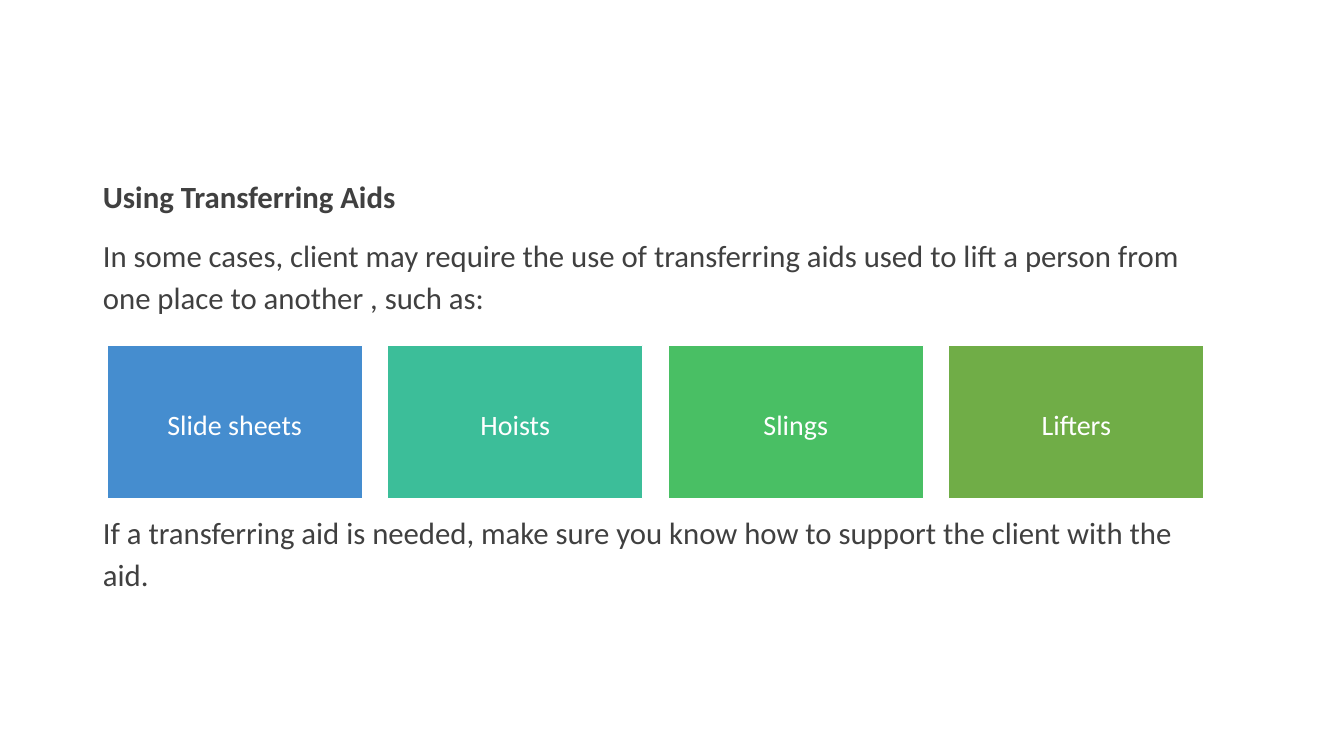
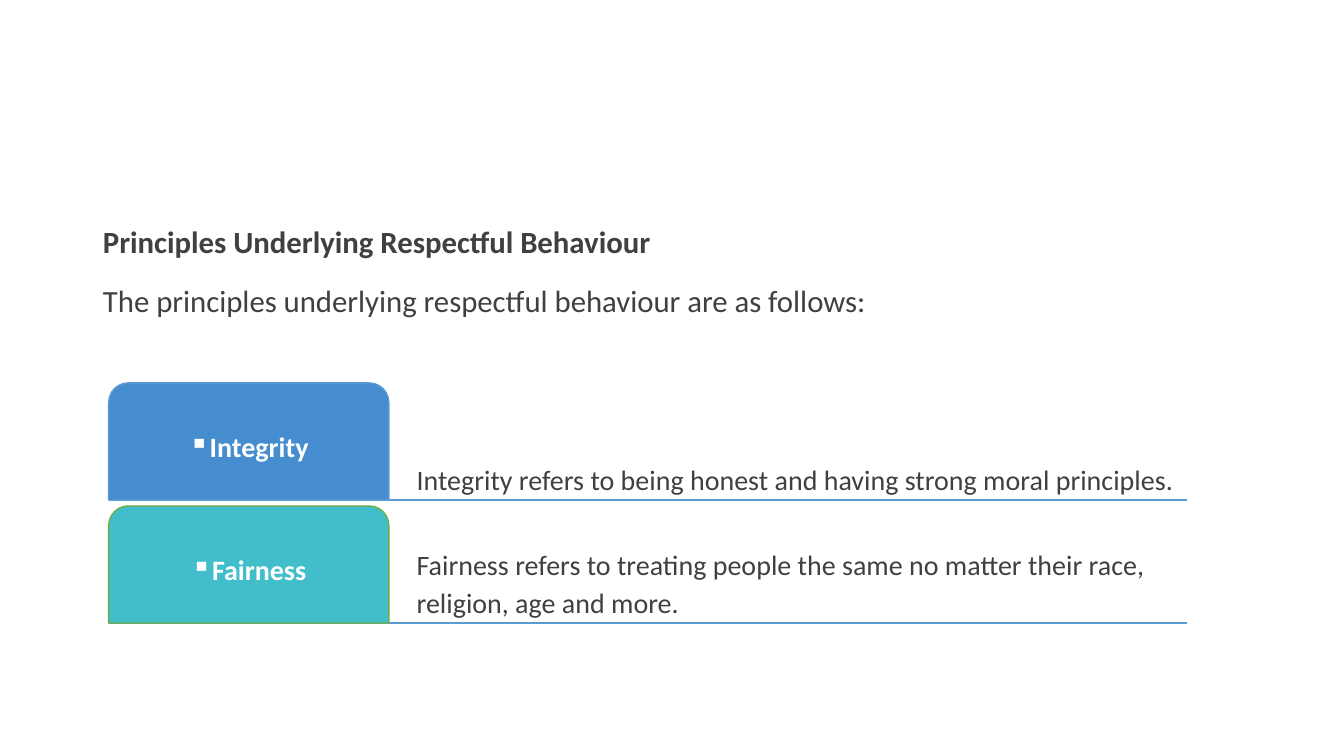
from lxml import etree
from pptx import Presentation
from pptx.dml.color import RGBColor
from pptx.enum.shapes import MSO_CONNECTOR, MSO_SHAPE
from pptx.enum.text import MSO_ANCHOR, MSO_AUTO_SIZE, PP_ALIGN
from pptx.oxml.ns import qn
from pptx.util import Cm, Pt

RECT, TAB = MSO_SHAPE.RECTANGLE, MSO_SHAPE.ROUND_2_SAME_RECTANGLE
STRAIGHT = MSO_CONNECTOR.STRAIGHT
MIDDLE, BOTTOM = MSO_ANCHOR.MIDDLE, MSO_ANCHOR.BOTTOM
LEFT, CENTER = PP_ALIGN.LEFT, PP_ALIGN.CENTER
NO_FIT = MSO_AUTO_SIZE.NONE

FONT = "Calibri"
INK, WHITE, BLUE, RULE = "404040", "FFFFFF", "458DCF", "5B9BD5"
TEAL, GREEN, OLIVE, AQUA = "3CBE99", "49BF64", "70AD47", "42BDCA"


def rgb(hex_color):
    return RGBColor.from_string(hex_color)


class Deck:
    """Holds the shared style and the current slide."""

    def __init__(self):
        self.prs = Presentation()
        self.prs.slide_width, self.prs.slide_height = Cm(33.87), Cm(19.05)
        self.s = None

    def paragraph(self, tf, first, text, size, color, bold=False, align=LEFT,
                  before=0, bullet=None, indent=0):
        p = tf.paragraphs[0] if first else tf.add_paragraph()
        p.alignment, p.line_spacing = align, 1.14
        p.space_before, p.space_after = Pt(before), Pt(6)
        pPr = p._p.get_or_add_pPr()
        pPr.set("marL", str(Cm(indent)))
        pPr.set("indent", "0")
        if bullet:
            etree.SubElement(pPr, qn("a:buChar")).set("char", bullet)
        else:
            etree.SubElement(pPr, qn("a:buNone"))
        r = p.add_run()
        r.text = text
        r.font.name, r.font.size, r.font.bold = FONT, Pt(size), bold
        r.font.color.rgb = rgb(color)

    def frame(self, sp, anchor, inset):
        tf = sp.text_frame
        tf.word_wrap, tf.vertical_anchor = True, anchor
        tf.margin_left = tf.margin_right = Cm(inset)
        tf.margin_top = tf.margin_bottom = Cm(inset)
        return tf

    def slide(self, top, heading, *body):
        """Start a slide; body holds (text, space before) pairs."""
        self.s = self.prs.slides.add_slide(self.prs.slide_layouts[1])
        title = self.s.shapes.title
        title._element.getparent().remove(title._element)
        sp = self.s.placeholders[1]
        sp.left, sp.top, sp.width, sp.height = Cm(2.34), Cm(top), Cm(28.02), Cm(12.09)
        tf = sp.text_frame
        tf.word_wrap, tf.auto_size = True, NO_FIT
        self.paragraph(tf, True, heading, 22, INK, bold=True)
        for text, before in body:
            self.paragraph(tf, False, text, 22, INK, before=before)

    def box(self, kind, x, y, w, h, fill, line, text, inset, **style):
        sp = self.s.shapes.add_shape(kind, Cm(x), Cm(y), Cm(w), Cm(h))
        sp.shadow.inherit = False
        sp.fill.solid()
        sp.fill.fore_color.rgb = rgb(fill)
        sp.line.color.rgb, sp.line.width = rgb(line), Pt(1)
        tf = self.frame(sp, MIDDLE, inset)
        self.paragraph(tf, True, text, 20, WHITE, align=CENTER, **style)

    def note(self, x, y, w, h, text):
        sp = self.s.shapes.add_textbox(Cm(x), Cm(y), Cm(w), Cm(h))
        self.paragraph(self.frame(sp, BOTTOM, 0.1), True, text, 20, INK, indent=0.6)

    def rule(self, x1, x2, y):
        c = self.s.shapes.add_connector(STRAIGHT, Cm(x1), Cm(y), Cm(x2), Cm(y))
        c.line.color.rgb, c.line.width = rgb(RULE), Pt(1)
        etree.SubElement(c._element.spPr, qn("a:effectLst"))


def main():
    deck = Deck()

    # Transferring aids: a row of tiles in the gap between paragraphs
    deck.slide(
        4.22, "Using Transferring Aids",
        ("In some cases, client may require the use of transferring aids used to "
         "lift a person from one place to another , such as:", 6),
        ("If a transferring aid is needed, make sure you know how to support "
         "the client with the aid.", 132))
    aids = [("Slide sheets", BLUE), ("Hoists", TEAL), ("Slings", GREEN), ("Lifters", OLIVE)]
    tile_w, tile_gap = 6.43, 0.64
    for i, (aid, fill) in enumerate(aids):
        deck.box(RECT, 2.7 + i * (tile_w + tile_gap), 8.7, tile_w, 3.86,
                 fill, WHITE, aid, 0.2)

    # Principles: a tab, a description and a rule in each row
    deck.slide(5.36, "Principles Underlying Respectful Behaviour",
               ("The principles underlying respectful behaviour are as follows:", 6))
    principles = [
        ("Integrity", BLUE, RULE,
         "Integrity refers to being honest and having strong moral principles."),
        ("Fairness", AQUA, OLIVE,
         "Fairness refers to treating people the same no matter their race, "
         "religion, age and more."),
    ]
    left, tab_w, note_w, row_h, row_gap = 2.74, 7.06, 20.12, 2.95, 0.15
    for i, (name, fill, line, meaning) in enumerate(principles):
        y = 9.65 + i * (row_h + row_gap)
        deck.rule(left, left + tab_w + note_w, y + row_h)
        deck.note(left + tab_w, y, note_w, row_h, meaning)
        deck.box(TAB, left, y, tab_w, row_h, fill, line, name, 0.1,
                 bold=True, bullet="▪")

    deck.prs.save("out.pptx")


if __name__ == "__main__":
    main()
